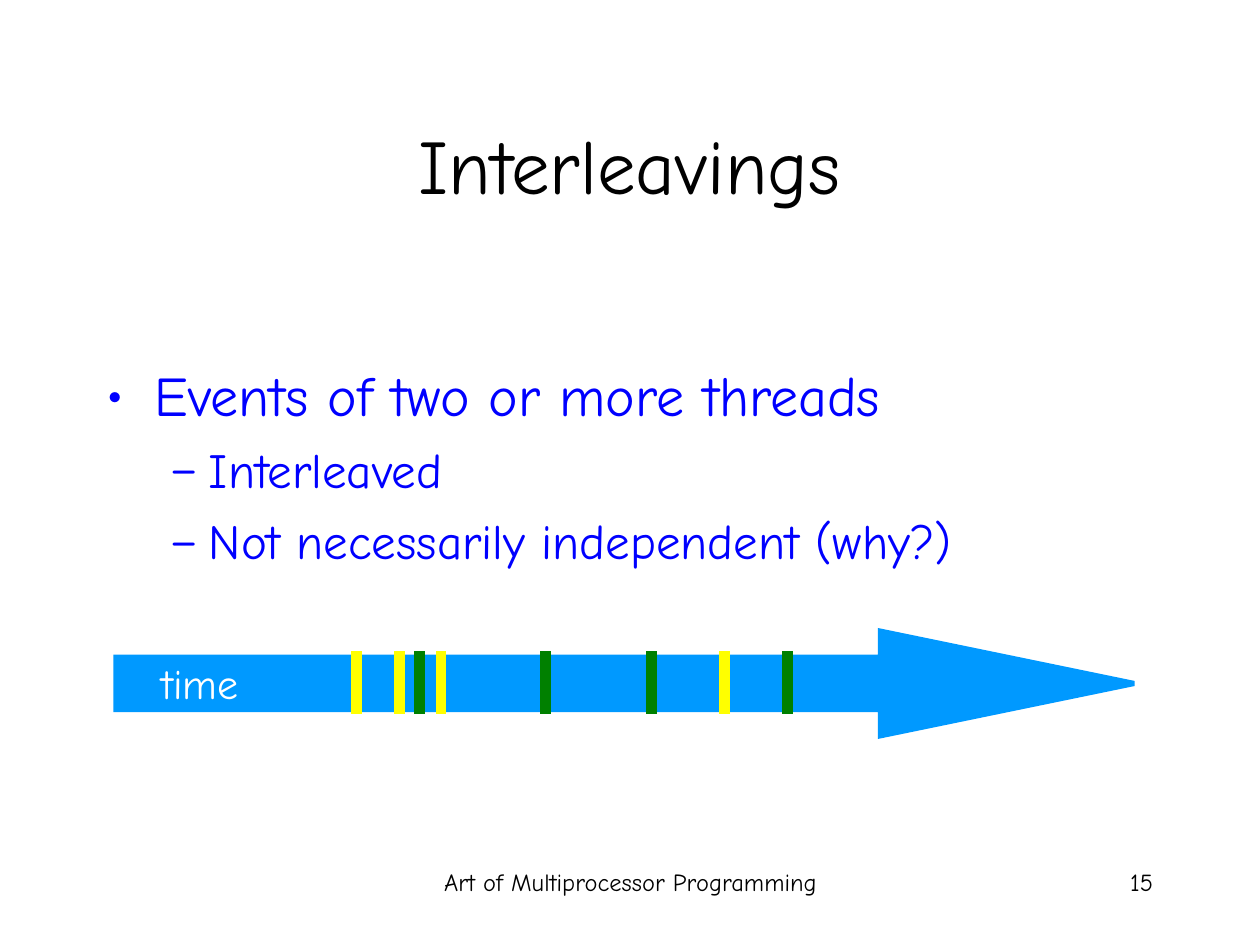
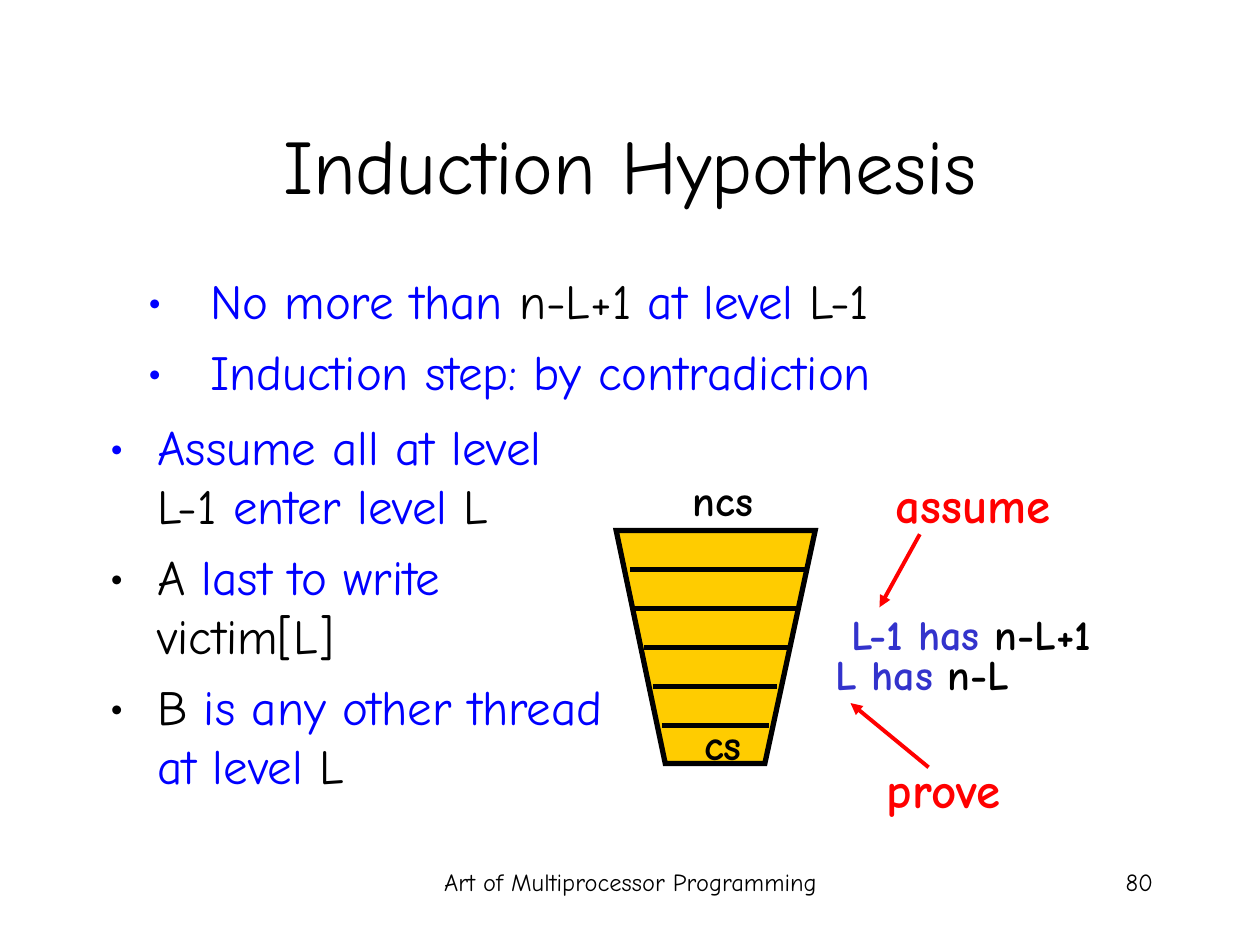
from lxml import etree
from pptx import Presentation
from pptx.dml.color import RGBColor
from pptx.enum.shapes import MSO_CONNECTOR, MSO_SHAPE
from pptx.enum.text import MSO_ANCHOR, PP_ALIGN
from pptx.oxml.ns import qn
from pptx.util import Inches, Pt

STRAIGHT = MSO_CONNECTOR.STRAIGHT
RIGHT_ARROW = MSO_SHAPE.RIGHT_ARROW
MIDDLE, TOP = MSO_ANCHOR.MIDDLE, MSO_ANCHOR.TOP
LEFT, CENTER, RIGHT = PP_ALIGN.LEFT, PP_ALIGN.CENTER, PP_ALIGN.RIGHT

FONT = "Comic Neue"
BLACK = RGBColor(0x00, 0x00, 0x00)
WHITE = RGBColor(0xFF, 0xFF, 0xFF)
BLUE = RGBColor(0x00, 0x00, 0xFF)
INDIGO = RGBColor(0x33, 0x33, 0xCC)
SKY = RGBColor(0x00, 0x99, 0xFF)
YELLOW = RGBColor(0xFF, 0xFF, 0x00)
GREEN = RGBColor(0x00, 0x80, 0x00)
GOLD = RGBColor(0xFF, 0xCC, 0x00)
RED = RGBColor(0xFF, 0x00, 0x00)

FOOTER = "Art of Multiprocessor Programming"

# Bullet levels: character, left margin, hanging indent, size, space before
TOP_LEVEL = ("•", 0.38, 0.38, 32, 8)
SUB_LEVEL = ("–", 0.81, 0.31, 28, 7)
STEP_LEVEL = ("•", 0.38, 0.38, 28, 7)
WIDE_LEVEL = ("•", 0.5, 0.5, 28, 7)

# Slide 15: bullets and events on the time line
INTERLEAVING_BULLETS = [
    (TOP_LEVEL, [("Events of two or more threads", BLUE)]),
    (SUB_LEVEL, [("Interleaved", BLUE)]),
    (SUB_LEVEL, [("Not necessarily independent (why?)", BLUE)]),
]
THREAD_EVENTS = [
    (YELLOW, [2.83, 3.17, 3.5, 5.75]),
    (GREEN, [3.33, 4.33, 5.17, 6.25]),
]
EVENT_TOP, EVENT_BOTTOM = 5.17, 5.67

# Slide 80: hypothesis, proof steps and the funnel of levels
HYPOTHESIS_BULLETS = [
    (WIDE_LEVEL, [("No more than ", BLUE), ("n-L+1", BLACK),
                  (" at level ", BLUE), ("L-1", BLACK)]),
    (WIDE_LEVEL, [("Induction step: by contradiction", BLUE)]),
]
PROOF_BULLETS = [
    (STEP_LEVEL, [("Assume all at level", BLUE), (" L-1", BLACK),
                  (" enter level ", BLUE), ("L", BLACK)]),
    (STEP_LEVEL, [("A", BLACK), (" last to write ", BLUE), ("victim[L]", BLACK)]),
    (STEP_LEVEL, [("B", BLACK), (" is any other thread at level ", BLUE),
                  ("L", BLACK)]),
]
FUNNEL_CORNERS = [(4.89, 4.21), (5.28, 6.06), (6.07, 6.06), (6.47, 4.21)]
LEVEL_SPANS = [(5, 6.4), (5.03, 6.32), (5.11, 6.25), (5.18, 6.17), (5.25, 6.1)]
LEVEL_TOP, LEVEL_GAP = 4.52, 0.31
FUNNEL_LABELS = [
    ((5.4, 3.72, 0.8, 0.5), [("ncs", BLACK)], 24),
    ((5.49, 5.65, 0.6, 0.5), [("cs", BLACK)], 24),
    ((6.66, 4.78, 2.3, 0.5), [("L-1 has ", INDIGO), ("n-L+1", BLACK)], 24),
    ((6.53, 5.1, 1.8, 0.5), [("L has ", INDIGO), ("n-L", BLACK)], 24),
    ((7.01, 3.72, 1.6, 0.57), [("assume", RED)], 28),
    ((6.94, 5.98, 1.3, 0.57), [("prove", RED)], 28),
]
CLAIM_ARROWS = [((7.3, 4.24), (6.98, 4.82)), ((7.37, 6.09), (6.75, 5.58))]


def add_box(slide, place, anchor=TOP):
    box = slide.shapes.add_textbox(*map(Inches, place))
    frame = box.text_frame
    frame.word_wrap = True
    frame.vertical_anchor = anchor
    return frame


def add_spans(para, spans, size, bold=False):
    for text, color in spans:
        span = para.add_run()
        span.text = text
        span.font.name = FONT
        span.font.size = Pt(size)
        span.font.bold = bold
        span.font.color.rgb = color


def add_label(slide, place, spans, size, align=LEFT, bold=False, anchor=TOP):
    para = add_box(slide, place, anchor).paragraphs[0]
    para.alignment = align
    add_spans(para, spans, size, bold)


def add_bullets(slide, place, bullets):
    frame = add_box(slide, place)
    for index, (level, spans) in enumerate(bullets):
        mark, margin, hanging, size, space = level
        para = frame.add_paragraph() if index else frame.paragraphs[0]
        para.space_before = Pt(space)
        add_spans(para, spans, size)
        props = para._p.get_or_add_pPr()
        props.set("marL", str(Inches(margin)))
        props.set("indent", str(-Inches(hanging)))
        mark_color = etree.SubElement(props, qn("a:buClr"))
        etree.SubElement(mark_color, qn("a:srgbClr"), val=str(spans[0][1]))
        etree.SubElement(props, qn("a:buFont"), typeface=FONT)
        etree.SubElement(props, qn("a:buChar"), char=mark)


def add_line(slide, start, end, color, width, arrow=False):
    line = slide.shapes.add_connector(STRAIGHT, *map(Inches, start + end))
    line.line.color.rgb = color
    line.line.width = Pt(width)
    if arrow:
        etree.SubElement(line.line._get_or_add_ln(), qn("a:tailEnd"),
                         type="triangle")
    etree.SubElement(line._element.spPr, qn("a:effectLst"))


def paint(shape, fill, outline):
    shape.shadow.inherit = False
    shape.fill.solid()
    shape.fill.fore_color.rgb = fill
    shape.line.color.rgb = outline
    shape.line.width = Pt(3)
    etree.SubElement(shape.line._get_or_add_ln(), qn("a:miter"), lim="800000")


def add_page(deck, title, number):
    """Add a slide with the shared title, footer and page number."""
    slide = deck.slides.add_slide(deck.slide_layouts[6])
    add_label(slide, (0.75, 0.67, 8.5, 1.25), [(title, BLACK)], 44, CENTER,
              anchor=MIDDLE)
    add_label(slide, (3.42, 6.83, 3.17, 0.5), [(FOOTER, BLACK)], 14, CENTER)
    add_label(slide, (7.17, 6.83, 2.08, 0.5), [(number, BLACK)], 14, RIGHT)
    return slide


def build_interleavings(deck):
    slide = add_page(deck, "Interleavings", "15")

    # Time arrow
    arrow = slide.shapes.add_shape(RIGHT_ARROW, *map(Inches, (0.92, 5.01, 8.08, 0.83)))
    arrow.adjustments[0] = 0.5
    arrow.adjustments[1] = 2.425
    paint(arrow, SKY, SKY)
    add_label(slide, (0.99, 5.17, 1, 0.5), [("time", WHITE)], 24, RIGHT)

    # Events of each thread
    for color, moments in THREAD_EVENTS:
        for x in moments:
            add_line(slide, (x, EVENT_TOP), (x, EVENT_BOTTOM), color, 6)

    add_bullets(slide, (0.75, 2.81, 8.5, 3.86), INTERLEAVING_BULLETS)


def build_induction(deck):
    slide = add_page(deck, "Induction Hypothesis", "80")
    add_bullets(slide, (0.77, 3.26, 4.17, 3.82), PROOF_BULLETS)
    add_bullets(slide, (1.07, 2.1, 5.99, 1.13), HYPOTHESIS_BULLETS)

    # Funnel with its levels
    corners = [(Inches(x), Inches(y)) for x, y in FUNNEL_CORNERS]
    outline = slide.shapes.build_freeform(*corners[0])
    outline.add_line_segments(corners[1:], close=True)
    paint(outline.convert_to_shape(), GOLD, BLACK)
    for index, (left, right) in enumerate(LEVEL_SPANS):
        y = LEVEL_TOP + index * LEVEL_GAP
        add_line(slide, (left, y), (right, y), BLACK, 3)

    # Labels and the arrows to the two claims
    for place, spans, size in FUNNEL_LABELS:
        add_label(slide, place, spans, size, bold=True)
    for start, end in CLAIM_ARROWS:
        add_line(slide, start, end, RED, 2.25, arrow=True)


def main():
    deck = Presentation()
    deck.slide_width, deck.slide_height = Inches(10), Inches(7.5)
    build_interleavings(deck)
    build_induction(deck)
    deck.save("out.pptx")


if __name__ == "__main__":
    main()
